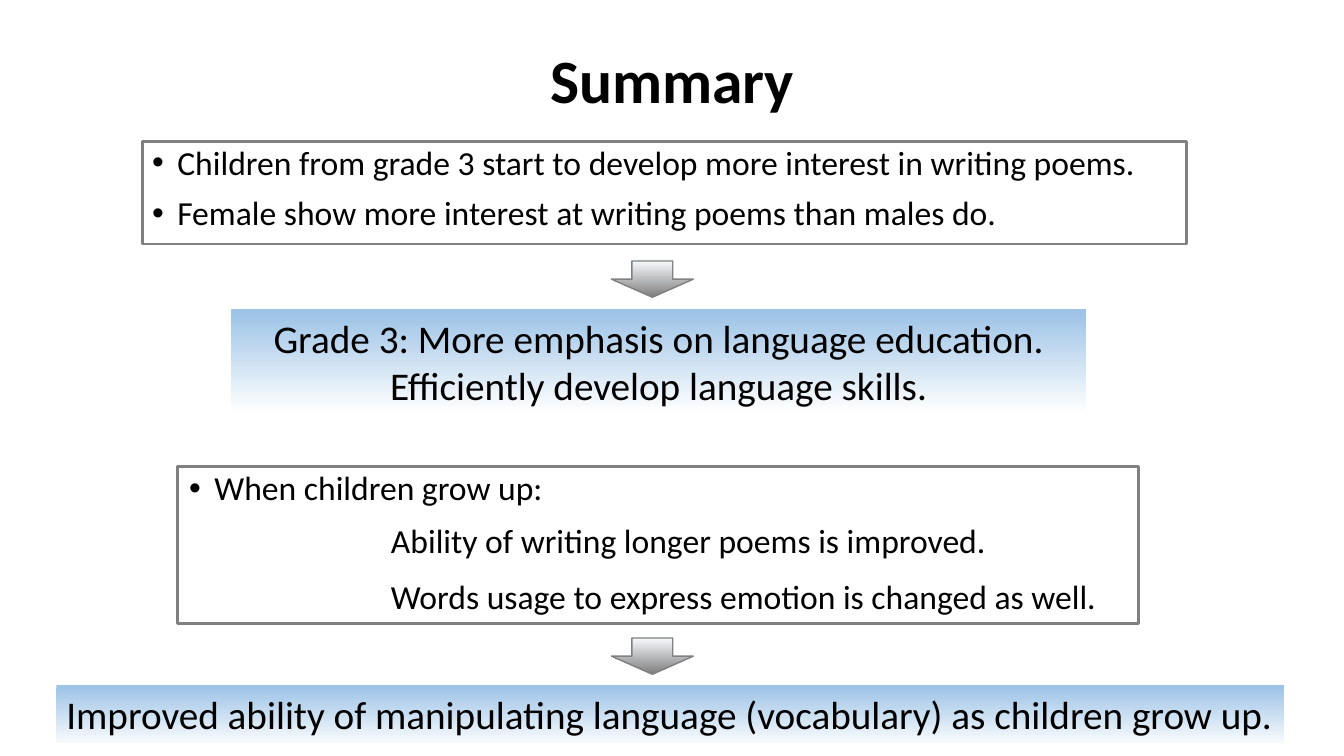
from dataclasses import dataclass

from pptx import Presentation, util as u
from pptx.dml.color import RGBColor
from pptx.enum import shapes, text
from pptx.oxml.ns import qn
from lxml import etree


@dataclass(frozen=True)
class Theme:
    font: str = "Calibri"
    ink: str = "000000"
    edge: str = "808080"
    blue: str = "9DC3E6"
    white: str = "FFFFFF"
    pale: str = "F7FAFD"
    title: int = 44
    band: int = 28
    body: int = 24


T = Theme()
SLIDE = (0, 0, u.Inches(13.33), u.Inches(7.5))


def part(box, left, top, width, height):
    """Return the part of box given by percentages of its size."""
    x, y, w, h = box
    return (int(x + w * left / 100), int(y + h * top / 100),
            int(w * width / 100), int(h * height / 100))


def add_bullet(p):
    pPr = p._p.get_or_add_pPr()
    pPr.set("marL", str(u.Inches(0.25)))
    pPr.set("indent", str(-u.Inches(0.25)))
    etree.SubElement(pPr, qn("a:buFont")).set("typeface", "Arial")
    etree.SubElement(pPr, qn("a:buChar")).set("char", "•")


def write(tf, *lines, size=T.body, bold=False, align=text.PP_ALIGN.LEFT,
          anchor=text.MSO_ANCHOR.TOP, bullet=False, spacing=None, before=0):
    tf.word_wrap = True
    tf.auto_size = text.MSO_AUTO_SIZE.NONE
    tf.vertical_anchor = anchor
    for i, line in enumerate(lines):
        p = tf.add_paragraph() if i else tf.paragraphs[0]
        if bullet:
            add_bullet(p)
        p.alignment = align
        if spacing:
            p.line_spacing = spacing
        if i and before:
            p.space_before = u.Pt(before)
        r = p.add_run()
        r.text = line
        r.font.name, r.font.size, r.font.bold = T.font, u.Pt(size), bold
        r.font.color.rgb = RGBColor.from_string(T.ink)


def add_shape(parent, box, kind=shapes.MSO_SHAPE.RECTANGLE, gradient=None,
              angle=270, line=None):
    sp = parent.add_shape(kind, *box)
    sp.shadow.inherit = False
    if gradient:
        sp.fill.gradient()
        sp.fill.gradient_angle = angle
        for stop, (position, color) in zip(sp.fill.gradient_stops, gradient):
            stop.position = position
            stop.color.rgb = RGBColor.from_string(color)
    else:
        sp.fill.background()
    if line:
        sp.line.color.rgb = RGBColor.from_string(T.edge)
        sp.line.width = u.Pt(line)
    else:
        sp.line.fill.background()
    return sp


def title(s, box, words):
    sp = s.shapes.title
    sp.left, sp.top, sp.width, sp.height = box
    write(sp.text_frame, words, size=T.title, bold=True, spacing=0.9,
          align=text.PP_ALIGN.CENTER, anchor=text.MSO_ANCHOR.MIDDLE)


def findings(s, box, *lines):
    sp = add_shape(s.shapes, box, line=2)
    write(sp.text_frame, *lines, bullet=True, spacing=0.9, before=10)


def conclusion(s, box, *lines, end=T.pale, align=text.PP_ALIGN.LEFT):
    sp = add_shape(s.shapes, box, gradient=[(0.02, T.blue), (0.99, end)])
    write(sp.text_frame, *lines, size=T.band, align=align)


def down_arrow(s, box):
    add_shape(s.shapes, box, shapes.MSO_SHAPE.DOWN_ARROW, angle=90, line=1,
              gradient=[(0.02, T.edge), (1, T.pale)])


def growth(s, box, heading, *details):
    """Place a framed heading with indented details below it, as one group."""
    group = s.shapes.add_group_shape().shapes
    tb = group.add_textbox(*part(box, 0.2, 0, 43, 39))
    write(tb.text_frame, heading, bullet=True, spacing=0.9)
    for i, detail in enumerate(details):
        tb = group.add_textbox(*part(box, 21.2, 30.8 + 35.2 * i, 78.8, 32))
        write(tb.text_frame, detail)
    add_shape(group, box, line=2)


def summary_slide(prs):
    s = prs.slides.add_slide(prs.slide_layouts[5])
    title(s, part(SLIDE, 6.9, 5.33, 86.27, 11.47), "Summary")
    findings(s, part(SLIDE, 10.58, 18.67, 77.72, 13.6),
             "Children from grade 3 start to develop more interest in writing poems.",
             "Female show more interest at writing poems than males do.")
    conclusion(s, part(SLIDE, 17.18, 40.93, 63.62, 13.87),
               "Grade 3: More emphasis on language education.",
               "Efficiently develop language skills.",
               end=T.white, align=text.PP_ALIGN.CENTER)
    growth(s, part(SLIDE, 13.2, 61.73, 71.49, 20.8),
           "When children grow up:",
           "Ability of writing longer poems is improved.",
           "Words usage to express emotion is changed as well.")
    conclusion(s, part(SLIDE, 4.2, 90.67, 91.37, 7.6),
               "Improved ability of manipulating language (vocabulary) as children grow up.")
    for top in (34.53, 84.4):
        down_arrow(s, part(SLIDE, 45.5, top, 6.08, 4.8))


def main():
    prs = Presentation()
    prs.slide_width, prs.slide_height = SLIDE[2:]
    summary_slide(prs)
    prs.save("out.pptx")


if __name__ == "__main__":
    main()
